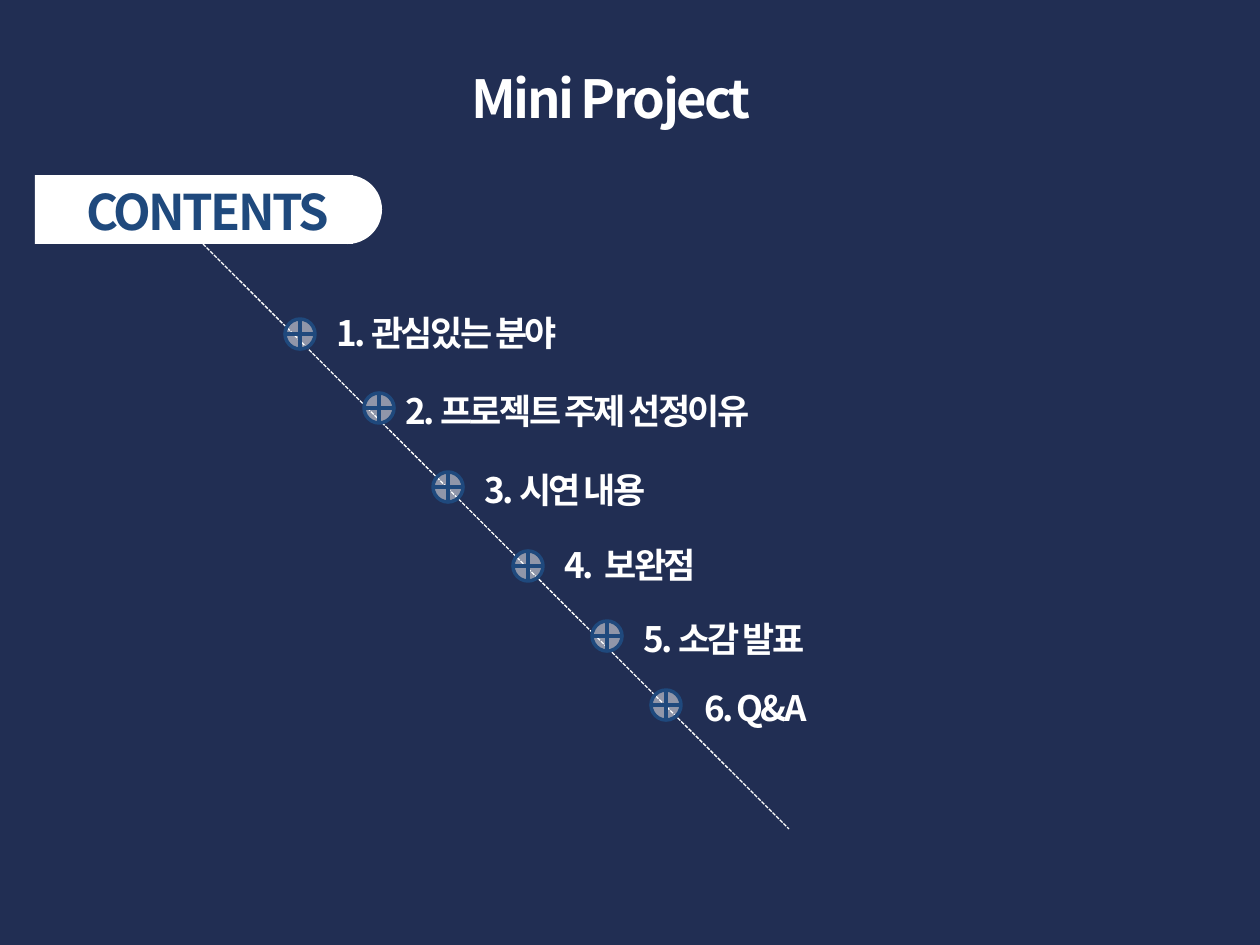
from lxml import etree
from pptx import Presentation
from pptx.dml.color import RGBColor
from pptx.enum.dml import MSO_LINE
from pptx.enum.shapes import MSO_CONNECTOR, MSO_SHAPE
from pptx.enum.text import MSO_ANCHOR, MSO_AUTO_SIZE, PP_ALIGN
from pptx.oxml.ns import qn
from pptx.util import Pt

RECTANGLE, OVAL, CROSSED_CIRCLE = MSO_SHAPE.RECTANGLE, MSO_SHAPE.OVAL, MSO_SHAPE.FLOWCHART_OR
STRAIGHT, DASH = MSO_CONNECTOR.STRAIGHT, MSO_LINE.SQUARE_DOT
TOP, FIT_SHAPE = MSO_ANCHOR.TOP, MSO_AUTO_SIZE.SHAPE_TO_FIT_TEXT
LEFT, CENTER = PP_ALIGN.LEFT, PP_ALIGN.CENTER

TITLE = "Mini Project"
HEADING = "CONTENTS"
AGENDA = [
    {"text": "1. 관심있는 분야", "marker": (285, 319), "label": (324, 305)},
    {"text": "2. 프로젝트 주제 선정이유", "marker": (364, 393), "label": (393, 383)},
    {"text": "3. 시연 내용", "marker": (433, 472), "label": (472, 462)},
    {"text": "4.  보완점", "marker": (513, 551), "label": (552, 537)},
    {"text": "5. 소감 발표", "marker": (592, 621), "label": (631, 611)},
    {"text": "6. Q&A", "marker": (651, 690), "label": (692, 680)},
]
COLORS = {"background": "212E53", "white": "FFFFFF", "blue": "1F497D"}
FONT = "Noto Sans CJK KR"
MARKER_SIZE = 30
LABEL_SIZE = (515, 54)
EMU_PER_PX = 914400 / 126


def px(*lengths):
    return [round(length * EMU_PER_PX) for length in lengths]


def color(name):
    return RGBColor.from_string(COLORS[name])


def apply(target, values):
    for name, value in values.items():
        setattr(target, name, value)


def write(shape, text, size, color_name="white", align=LEFT):
    frame = shape.text_frame
    apply(frame, {"text": text, "word_wrap": True, "vertical_anchor": TOP, "auto_size": FIT_SHAPE})
    paragraph = frame.paragraphs[0]
    paragraph.alignment = align
    run = paragraph.runs[0]
    apply(run.font, {"size": Pt(size), "name": FONT, "bold": True})
    run.font.color.rgb = color(color_name)
    properties = run.font._element
    properties.set("spc", "-150")
    latin = properties.find(qn("a:latin"))
    east_asian = etree.Element(qn("a:ea"), typeface=FONT)
    latin.addnext(east_asian)


def add_filled(shapes, kind, box):
    shape = shapes.add_shape(kind, *px(*box))
    shape.shadow.inherit = False
    shape.fill.solid()
    shape.fill.fore_color.rgb = color("white")
    shape.line.fill.background()
    return shape


def add_marker(shapes, position):
    marker = add_filled(shapes, CROSSED_CIRCLE, (*position, MARKER_SIZE, MARKER_SIZE))
    marker.line.color.rgb = color("blue")
    marker.line.width = Pt(2)
    fill_color = marker._element.spPr.find(qn("a:solidFill"))[0]
    etree.SubElement(fill_color, qn("a:alpha"), val="50000")


def add_guide(shapes, start, end):
    guide = shapes.add_connector(STRAIGHT, *px(*start, *end))
    guide.line.color.rgb = color("white")
    apply(guide.line, {"width": Pt(0.75), "dash_style": DASH})
    etree.SubElement(guide._element.spPr, qn("a:effectLst"))


def main():
    presentation = Presentation()
    presentation.slide_width, presentation.slide_height = px(1260, 945)
    slide = presentation.slides.add_slide(presentation.slide_layouts[5])
    slide.background.fill.solid()
    slide.background.fill.fore_color.rgb = color("background")
    shapes = slide.shapes

    title = shapes.title
    apply(title, dict(zip(("left", "top", "width", "height"), px(185, 60, 853, 76))))
    write(title, TITLE, 30, align=CENTER)

    banner = shapes.add_group_shape()
    add_filled(banner.shapes, RECTANGLE, (35, 175, 318, 69))
    add_filled(banner.shapes, OVAL, (313, 175, 69, 69))
    write(shapes.add_textbox(*px(74, 175, 318, 72)), HEADING, 28, "blue")

    add_guide(shapes, (203, 244), (789, 829))
    for item in AGENDA:
        add_marker(shapes, item["marker"])
        write(shapes.add_textbox(*px(*item["label"], *LABEL_SIZE)), item["text"], 20)

    presentation.save("out.pptx")


if __name__ == "__main__":
    main()
